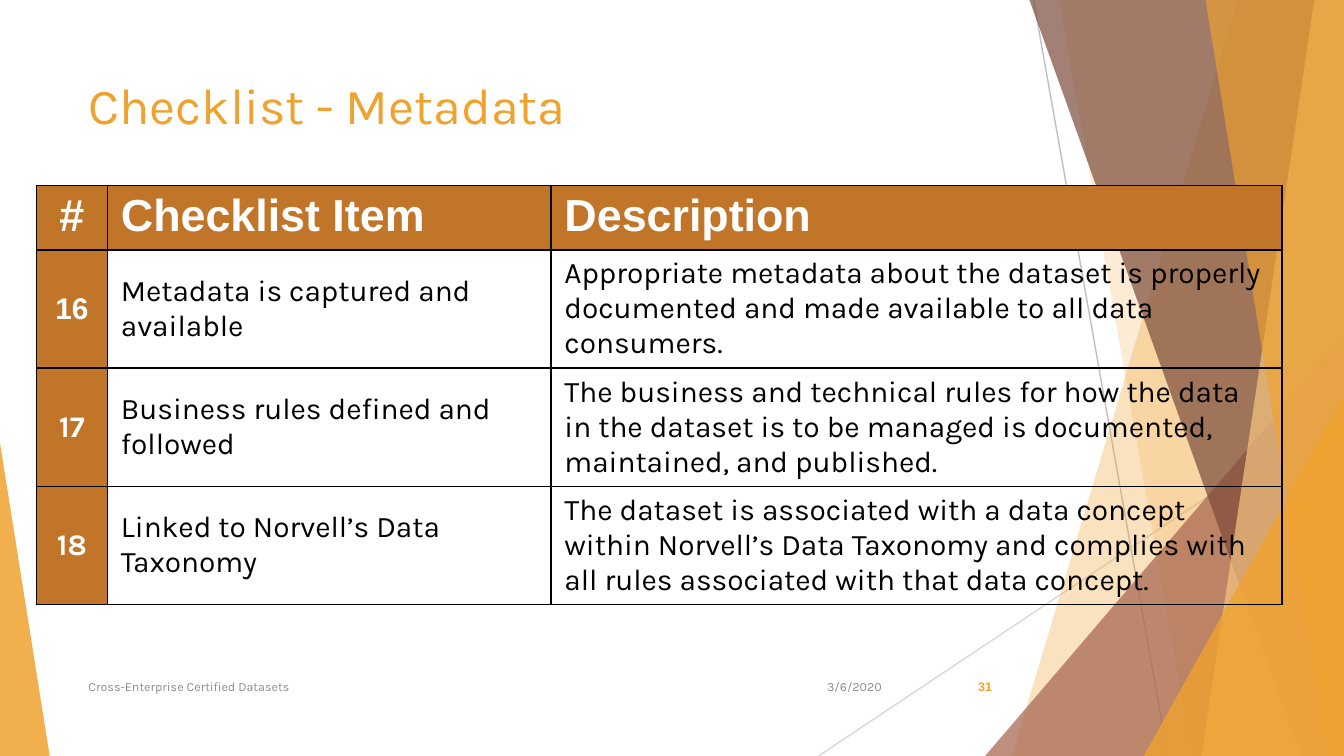
from lxml.etree import SubElement
from pptx import Presentation
from pptx.dml.color import RGBColor
from pptx.enum.shapes import MSO_CONNECTOR, MSO_SHAPE
from pptx.enum.text import MSO_ANCHOR, PP_ALIGN
from pptx.oxml.ns import qn
from pptx.util import Inches, Pt

WIDTH = 10
HEIGHT = WIDTH * 9 / 16
GOLD, BROWN, GREY = "F0A22E", "C17529", "8C8C8C"
COLUMNS = [0.53, 3.3, 5.44]
ROWS = [0.45, 0.68, 0.68, 0.68]
HEADERS = ["#", "Checklist Item", "Description"]
ITEMS = [
    ("16", "Metadata is captured and available",
     "Appropriate metadata about the dataset is properly documented "
     "and made available to all data consumers."),
    ("17", "Business rules defined and followed",
     "The business and technical rules for how the data in the dataset "
     "is to be managed is documented, maintained, and published."),
    ("18", "Linked to Norvell’s Data Taxonomy",
     "The dataset is associated with a data concept within Norvell’s Data "
     "Taxonomy and complies with all rules associated with that data concept."),
]


def color(value):
    return RGBColor.from_string(value)


def write(frame, text, size=16, font="Karla", fill="000000", bold=False,
          align=PP_ALIGN.LEFT):
    frame.word_wrap = True
    paragraph = frame.paragraphs[0]
    paragraph.alignment = align
    run = paragraph.add_run()
    run.text = text
    run.font.size = Pt(size)
    run.font.name = font
    run.font.bold = bold
    run.font.color.rgb = color(fill)


def add_text(slide, box, text, anchor=MSO_ANCHOR.MIDDLE, **style):
    shape = slide.shapes.add_textbox(*map(Inches, box))
    shape.text_frame.vertical_anchor = anchor
    write(shape.text_frame, text, **style)


def paint(shape, fill, opacity):
    shape.shadow.inherit = False
    shape.line.fill.background()
    shape.fill.solid()
    shape.fill.fore_color.rgb = color(fill)
    solid = shape.fill._xPr.find(qn("a:solidFill"))
    SubElement(solid[0], qn("a:alpha"), val=str(opacity * 1000))


def add_line(slide, start, end, stroke):
    line = slide.shapes.add_connector(
        MSO_CONNECTOR.STRAIGHT, *map(Inches, start + end))
    line.line.color.rgb = color(stroke)
    line.line.width = Pt(0.75)
    SubElement(line._element.spPr, qn("a:effectLst"))


def add_ribbon(slide, box, top_x, bottom_x, fill, opacity):
    left, top, width, height = box
    right, bottom = left + width, top + height
    points = [(left + top_x, top), (right, top), (right, bottom),
              (left + bottom_x, bottom)]
    corners = [(Inches(x), Inches(y)) for x, y in points]
    builder = slide.shapes.build_freeform(*corners[0])
    builder.add_line_segments(corners[1:], close=True)
    paint(builder.convert_to_shape(), fill, opacity)


def add_triangle(slide, box, width, height, apex, fill, opacity):
    left = box[0] + apex * (box[2] - width)
    top = box[1] + box[3] - height
    shape = slide.shapes.add_shape(
        MSO_SHAPE.ISOSCELES_TRIANGLE,
        *map(Inches, (left, top, width, height)))
    shape.adjustments[0] = apex
    paint(shape, fill, opacity)


def add_decoration(slide, box):
    left, top, width, height = box
    right, bottom = left + width, top + height
    add_line(slide, (left + 7.69, top), (left + 8.69, bottom), "BFBFBF")
    add_line(slide, (right, top + 3.02), (left + 6.09, bottom), "D9D9D9")
    add_ribbon(slide, box, 9.21, 7.53, GOLD, 30)
    add_ribbon(slide, box, 7.88, 8.87, GOLD, 20)
    add_triangle(slide, box, 2.67, 3.12, 1, "A5644E", 72)
    add_ribbon(slide, box, 7.66, 9.68, "7C4B3B", 70)
    add_ribbon(slide, box, 9.78, 8.94, "F6C782", 70)
    add_ribbon(slide, box, 8.97, 9.88, GOLD, 65)
    add_triangle(slide, box, 1.49, 2.68, 1, GOLD, 80)
    add_triangle(slide, box, 0.37, 2.33, 0, GOLD, 85)


def add_borders(cell):
    properties = cell._tc.get_or_add_tcPr()
    for side in ("lnL", "lnR", "lnT", "lnB"):
        line = SubElement(properties, qn(f"a:{side}"), w=str(Pt(1)))
        solid = SubElement(line, qn("a:solidFill"))
        SubElement(solid, qn("a:srgbClr"), val="000000")


def fill_cell(cell, text, row, column):
    header, number = row == 0, column == 0
    add_borders(cell)
    if header or number:
        cell.fill.solid()
        cell.fill.fore_color.rgb = color(BROWN)
    else:
        cell.fill.background()
    cell.margin_top = cell.margin_bottom = Inches(0.04)
    cell.vertical_anchor = MSO_ANCHOR.TOP if header else MSO_ANCHOR.MIDDLE
    write(cell.text_frame, text,
          size=24 if header else 16,
          font="Arial" if header or (number and row == 1) else "Karla",
          fill="FFFFFF" if header or number else "000000",
          bold=header or number,
          align=PP_ALIGN.CENTER if number else PP_ALIGN.LEFT)


def add_checklist(slide, box):
    shape = slide.shapes.add_table(
        len(ROWS), len(COLUMNS), *map(Inches, box))
    table = shape.table
    table.first_row = table.horz_banding = False
    for column, width in zip(table.columns, COLUMNS):
        column.width = Inches(width)
    for row, height in zip(table.rows, ROWS):
        row.height = Inches(height)
    shape.width, shape.height = Inches(box[2]), Inches(box[3])
    for row, texts in enumerate([HEADERS, *ITEMS]):
        for column, text in enumerate(texts):
            fill_cell(table.cell(row, column), text, row, column)


def add_footer(slide, left, top, height):
    add_text(slide, (left + 6.49, top, 0.56, height), "31", size=6.7,
             font="Arial", fill=GOLD, bold=True, align=PP_ALIGN.CENTER)
    add_text(slide, (left + 5.35, top, 0.75, height), "3/6/2020",
             size=6.7, fill=GREY, align=PP_ALIGN.RIGHT)
    add_text(slide, (left, top, 5.17, height),
             "Cross-Enterprise Certified Datasets", size=6.7, fill=GREY)


def main():
    presentation = Presentation()
    presentation.slide_width = Inches(WIDTH)
    presentation.slide_height = Inches(HEIGHT)
    slide = presentation.slides.add_slide(presentation.slide_layouts[6])
    add_decoration(slide, (0, 0, WIDTH, HEIGHT))
    add_text(slide, (0.56, 0.5, 7.05, 1.08), "Checklist - Metadata",
             anchor=MSO_ANCHOR.TOP, size=27, fill=GOLD)
    add_checklist(slide, (0.27, 1.38, 9.26, 3.15))
    add_footer(slide, 0.56, 4.96, 0.3)
    presentation.save("out.pptx")


if __name__ == "__main__":
    main()
